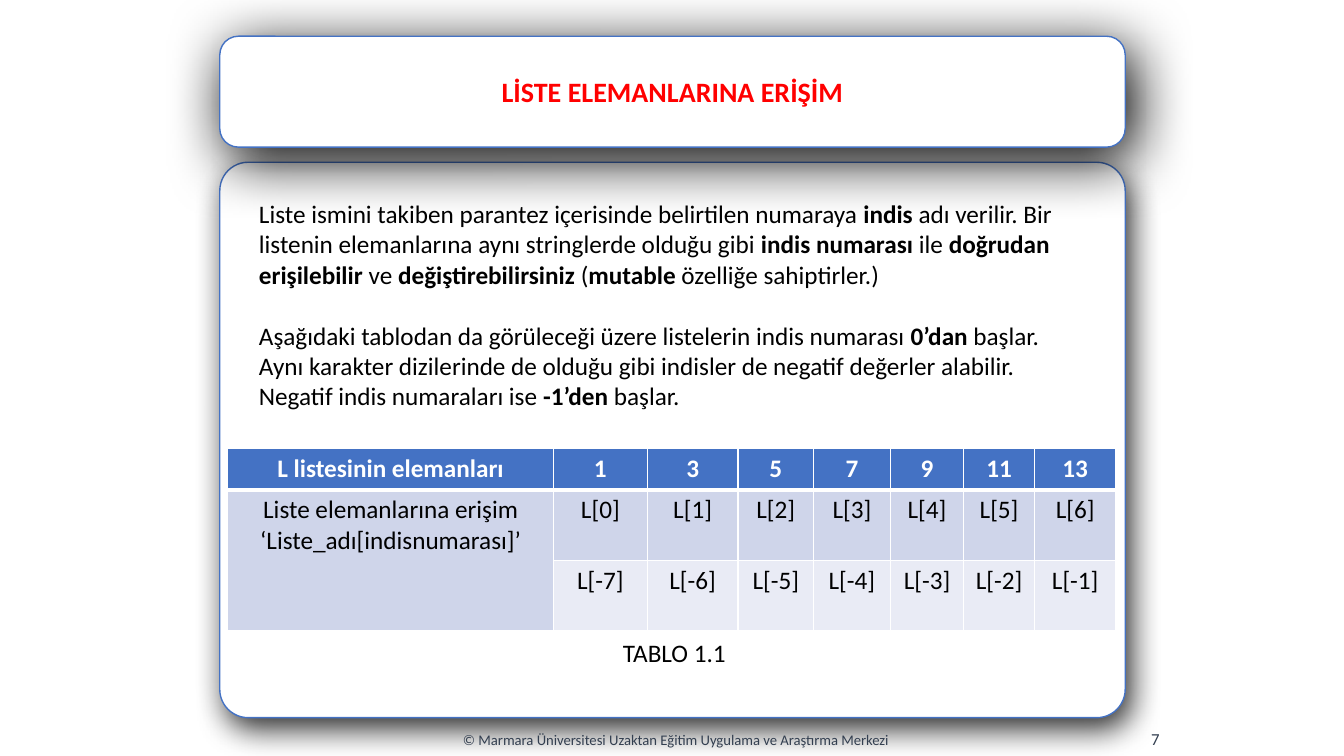
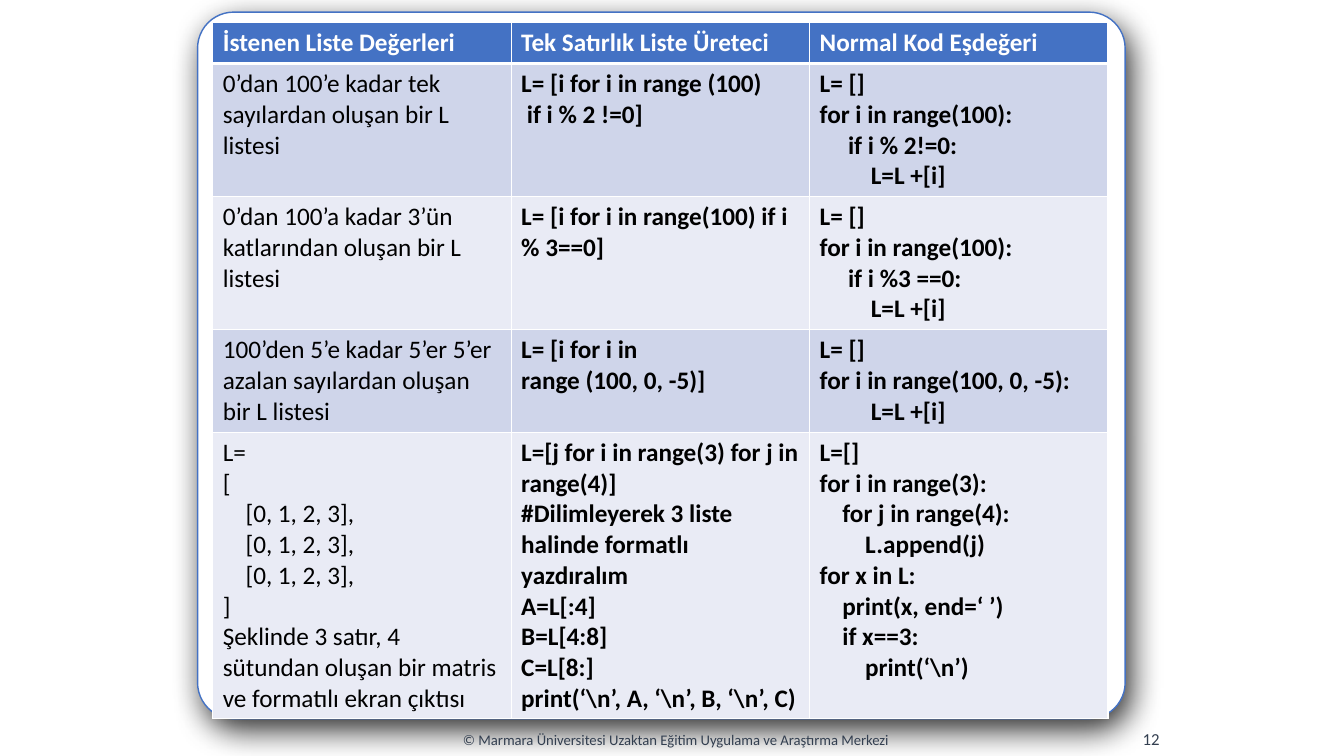
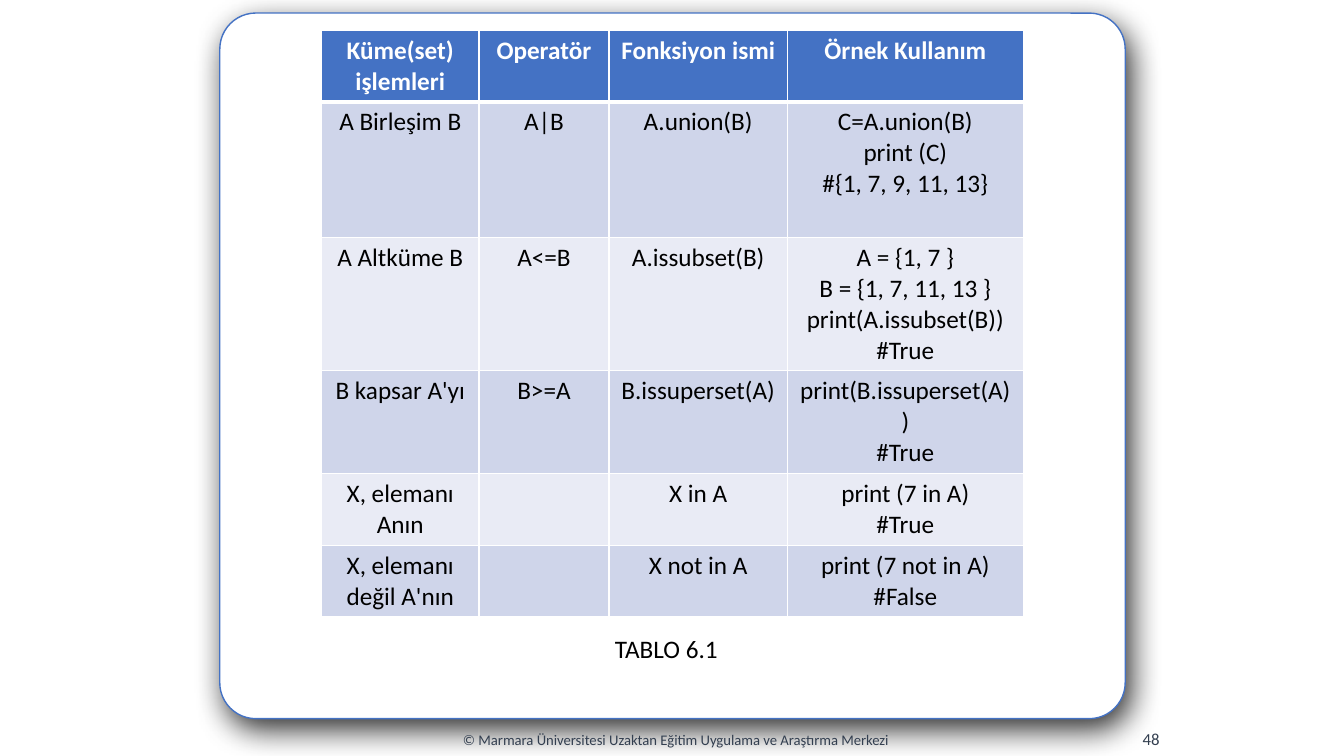
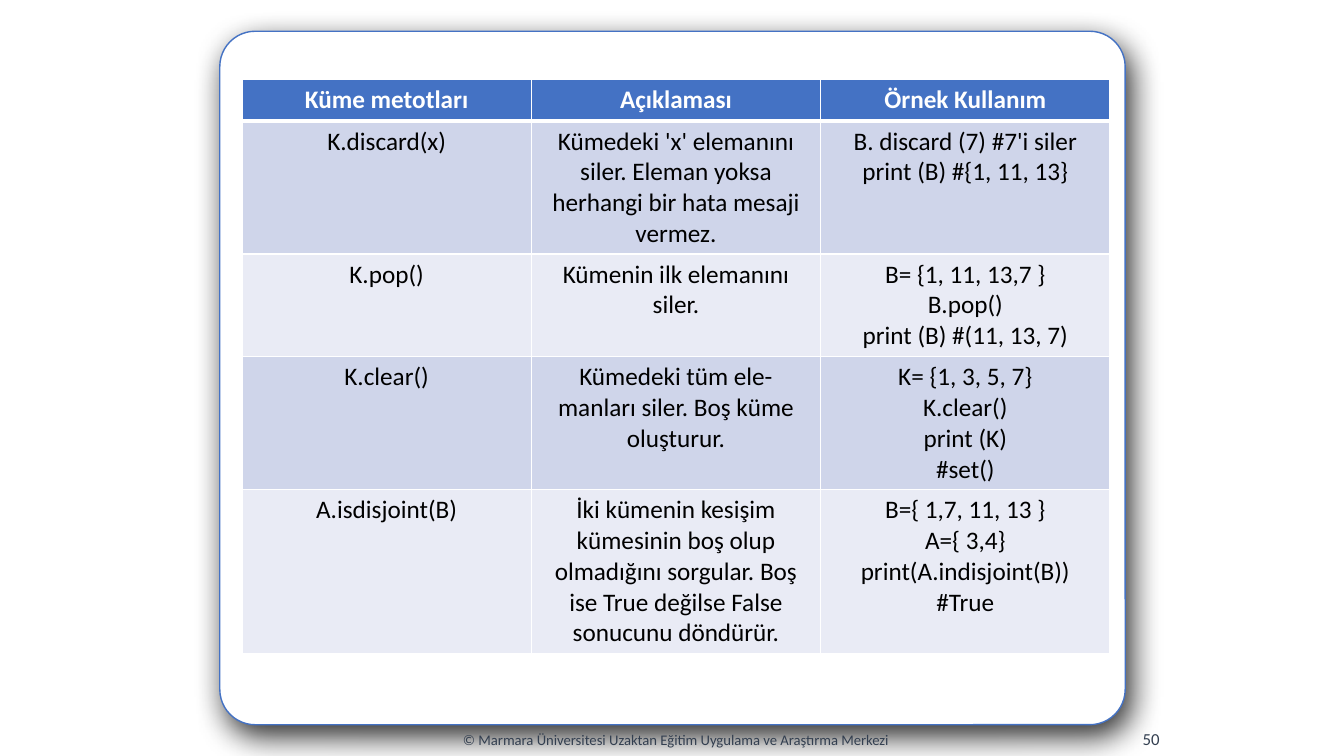
from lxml import etree
from pptx import Presentation
from pptx import util as u
from pptx.dml.color import RGBColor
from pptx.enum import shapes, text
from pptx.oxml.ns import qn

PX = 9144  # EMU in one px, 100 px to the inch
FONT = "Calibri"
COLOURS = {
    "white": "FFFFFF",
    "black": "000000",
    "blue": "4472C4",
    "red": "FF0000",
    "footer": "333F50",
    "band_dark": "CFD5EA",
    "band_light": "E9EBF5",
}
LEFT, CENTER, RIGHT = text.PP_ALIGN.LEFT, text.PP_ALIGN.CENTER, text.PP_ALIGN.RIGHT
TOP, MIDDLE = text.MSO_ANCHOR.TOP, text.MSO_ANCHOR.MIDDLE
COPYRIGHT = "© Marmara Üniversitesi Uzaktan Eğitim Uygulama ve Araştırma Merkezi"

INTRO = (
    "Liste ismini takiben parantez içerisinde belirtilen numaraya **indis** adı verilir. "
    "Bir listenin elemanlarına aynı stringlerde olduğu gibi **indis numarası** ile "
    "**doğrudan erişilebilir** ve **değiştirebilirsiniz** (**mutable** özelliğe sahiptirler.)\n"
    "Aşağıdaki tablodan da görüleceği üzere listelerin indis numarası **0’dan** başlar. "
    "Aynı karakter dizilerinde de olduğu gibi indisler de negatif değerler alabilir. "
    "Negatif indis numaraları ise **-1’den** başlar."
)

ACCESS_ROWS = [
    ["L listesinin elemanları"] + [str(2 * i + 1) for i in range(7)],
    ["Liste elemanlarına erişim\n‘Liste_adı[indisnumarası]’"] + [f"L[{i}]" for i in range(7)],
    [""] + [f"L[{i}]" for i in range(-7, 0)],
]

GENERATOR_ROWS = [
    ["İstenen Liste Değerleri", "Tek Satırlık Liste Üreteci", "Normal Kod Eşdeğeri"],
    ["0’dan 100’e kadar tek sayılardan oluşan bir L listesi",
     "L= [i for i in range (100)\n if i % 2 !=0]",
     "L= []\nfor i in range(100):\n     if i % 2!=0:\n         L=L +[i]"],
    ["0’dan 100’a kadar 3’ün katlarından oluşan bir L listesi",
     "L= [i for i in range(100) if i % 3==0]",
     "L= []\nfor i in range(100):\n     if i %3 ==0:\n         L=L +[i]"],
    ["100’den 5’e kadar 5’er 5’er azalan sayılardan oluşan bir L listesi",
     "L= [i for i in\nrange (100, 0, -5)]",
     "L= []\nfor i in range(100, 0, -5):\n         L=L +[i]"],
    ["L=\n[\n" + "    [0, 1, 2, 3],\n" * 3 + "]\n"
     "Şeklinde 3 satır, 4 sütundan oluşan bir matris ve formatılı ekran çıktısı",
     "L=[j for i in range(3) for j in range(4)]\n"
     "#Dilimleyerek 3 liste halinde formatlı yazdıralım\n"
     "A=L[:4]\nB=L[4:8]\nC=L[8:]\nprint(‘\\n’, A, ‘\\n’, B, ‘\\n’, C)",
     "L=[]\nfor i in range(3):\n    for j in range(4):\n        L.append(j)\n"
     "for x in L:\n    print(x, end=‘ ’)\n    if x==3:\n        print(‘\\n’)"],
]

OPERATION_ROWS = [
    ["Küme(set) işlemleri", "Operatör", "Fonksiyon ismi", "Örnek Kullanım"],
    ["A Birleşim B", "A|B", "A.union(B)", "C=A.union(B)\nprint (C)\n#{1, 7, 9, 11, 13}"],
    ["A Altküme B", "A<=B", "A.issubset(B)",
     "A = {1, 7 }\nB = {1, 7, 11, 13 }\nprint(A.issubset(B))\n#True"],
    ["B kapsar A'yı", "B>=A", "B.issuperset(A)", "print(B.issuperset(A))\n#True"],
    ["X, elemanı Anın", "", "X in A", "print (7 in A)\n#True"],
    ["X, elemanı değil A'nın", "", "X not in A", "print (7 not in A)\n#False"],
]

METHOD_ROWS = [
    ["Küme metotları", "Açıklaması", "Örnek Kullanım"],
    ["K.discard(x)",
     "Kümedeki 'x' elemanını siler. Eleman yoksa herhangi bir hata mesaji vermez.",
     "B. discard (7) #7'i siler print (B) #{1, 11, 13}"],
    ["K.pop()", "Kümenin ilk elemanını siler.",
     "B= {1, 11, 13,7 }\nB.pop()\nprint (B) #(11, 13, 7)"],
    ["K.clear()", "Kümedeki tüm ele- manları siler. Boş küme oluşturur.",
     "K= {1, 3, 5, 7}\nK.clear()\nprint (K)\n#set()"],
    ["A.isdisjoint(B)",
     "İki kümenin kesişim kümesinin boş olup\n"
     "olmadığını sorgular. Boş ise True değilse False sonucunu döndürür.",
     "B={ 1,7, 11, 13 }\nA={ 3,4}\nprint(A.indisjoint(B)) #True"],
]


def emu(*lengths):
    return [u.Emu(length * PX) for length in lengths]


def rgb(colour):
    return RGBColor.from_string(COLOURS[colour])


def write(frame, content, size=18, colour="black", align=LEFT, bold=False, gap=0):
    """Lines become paragraphs; ** switches bold on and off."""
    for number, line in enumerate(content.split("\n")):
        para = frame.add_paragraph() if number else frame.paragraphs[0]
        para.alignment = align
        para.font.size = u.Pt(size)
        if number and gap:
            para.space_before = u.Pt(gap)
        for part, words in enumerate(line.split("**")):
            if not words:
                continue
            span = para.add_run()
            span.text = words
            span.font.name = FONT
            span.font.size = u.Pt(size)
            span.font.color.rgb = rgb(colour)
            span.font.bold = bold or part % 2 == 1


def add_text(page, area, content, anchor=TOP, **style):
    frame = page.shapes.add_textbox(*emu(*area)).text_frame
    frame.word_wrap = True
    frame.vertical_anchor = anchor
    write(frame, content, **style)


def add_card(page, area, corner=0.051, opacity=81, blur=23, angle=64):
    """White rounded card with a soft shadow."""
    card = page.shapes.add_shape(shapes.MSO_SHAPE.ROUNDED_RECTANGLE, *emu(*area))
    card.adjustments[0] = corner
    card.fill.solid()
    card.fill.fore_color.rgb = rgb("white")
    card.line.color.rgb = rgb("blue")
    card.line.width = u.Pt(1)
    card.shadow.inherit = False
    effects = card._element.spPr.find(qn("a:effectLst"))
    shadow = etree.SubElement(
        effects, qn("a:outerShdw"), blurRad=str(u.Pt(blur)), dist=str(u.Pt(9)),
        dir=str(angle * 60000), algn="ctr", rotWithShape="0")
    tint = etree.SubElement(shadow, qn("a:srgbClr"), val=COLOURS["black"])
    etree.SubElement(tint, qn("a:alpha"), val=str(opacity * 1000))
    return card


def add_borders(cell, row):
    """White cell edges, thicker under the header row."""
    widths = {"lnL": 1, "lnR": 1, "lnT": 3 if row == 1 else 1, "lnB": 1 if row else 3}
    properties = cell._tc.get_or_add_tcPr()
    for edge, width in widths.items():
        line = etree.SubElement(properties, qn(f"a:{edge}"), w=str(u.Pt(width)))
        fill = etree.SubElement(line, qn("a:solidFill"))
        etree.SubElement(fill, qn("a:srgbClr"), val=COLOURS["white"])


def add_table(page, left, top, widths, heights, rows, align=CENTER, bold_columns=()):
    area = emu(left, top, sum(widths), sum(heights))
    table = page.shapes.add_table(len(heights), len(widths), *area).table
    for column, width in zip(table.columns, emu(*widths)):
        column.width = width
    for table_row, height in zip(table.rows, emu(*heights)):
        table_row.height = height
    for r, row in enumerate(rows):
        band = "band_dark" if r % 2 else "band_light"
        for c, content in enumerate(row):
            cell = table.cell(r, c)
            add_borders(cell, r)
            cell.fill.solid()
            cell.fill.fore_color.rgb = rgb(band if r else "blue")
            write(cell.text_frame, content, align=align,
                  colour="black" if r else "white", bold=r == 0 or c in bold_columns)
    return table


def add_page(deck, number, card_area):
    """Slide with its main card, copyright line and page number."""
    page = deck.slides.add_slide(deck.slide_layouts[6])
    add_card(page, card_area)
    add_text(page, (375, 714, 591, 40), COPYRIGHT, MIDDLE,
             size=10.5, colour="footer", align=CENTER)
    add_text(page, (927, 713, 233, 40), str(number), MIDDLE,
             size=12, colour="footer", align=RIGHT)
    return page


def main():
    deck = Presentation()
    deck.slide_width, deck.slide_height = emu(1333, 750)

    # List element access
    page = add_page(deck, 7, (218, 161, 898, 551))
    title = add_card(page, (218, 36, 898, 110), 0.167, opacity=99, blur=43, angle=60)
    title.text_frame.vertical_anchor = MIDDLE
    write(title.text_frame, "LİSTE ELEMANLARINA ERİŞİM",
          size=20, colour="red", align=CENTER, bold=True)
    add_text(page, (247, 192, 835, 222), INTRO, gap=22)
    table = add_table(page, 226, 445, [323, 93, 90, 75, 76, 73, 70, 81],
                      [41, 70, 70], ACCESS_ROWS)
    table.cell(1, 0).merge(table.cell(2, 0))
    add_text(page, (608, 627, 127, 40), "TABLO 1.1")

    # List generators
    page = add_page(deck, 12, (196, 12, 920, 701))
    add_table(page, 211, 22, [296] * 3, [41, 132, 132, 102, 284], GENERATOR_ROWS,
              align=LEFT, bold_columns=(1, 2))

    # Set operations
    page = add_page(deck, 48, (218, 13, 898, 700))
    add_table(page, 319, 30, [156, 129, 177, 234], [71, 135, 132, 102, 71, 71],
              OPERATION_ROWS)
    add_text(page, (600, 623, 133, 40), "TABLO 6.1")

    # Set methods
    page = add_page(deck, 50, (218, 31, 898, 688))
    add_table(page, 240, 79, [287] * 3, [41, 132, 102, 132, 163], METHOD_ROWS)

    deck.save("out.pptx")


if __name__ == "__main__":
    main()
